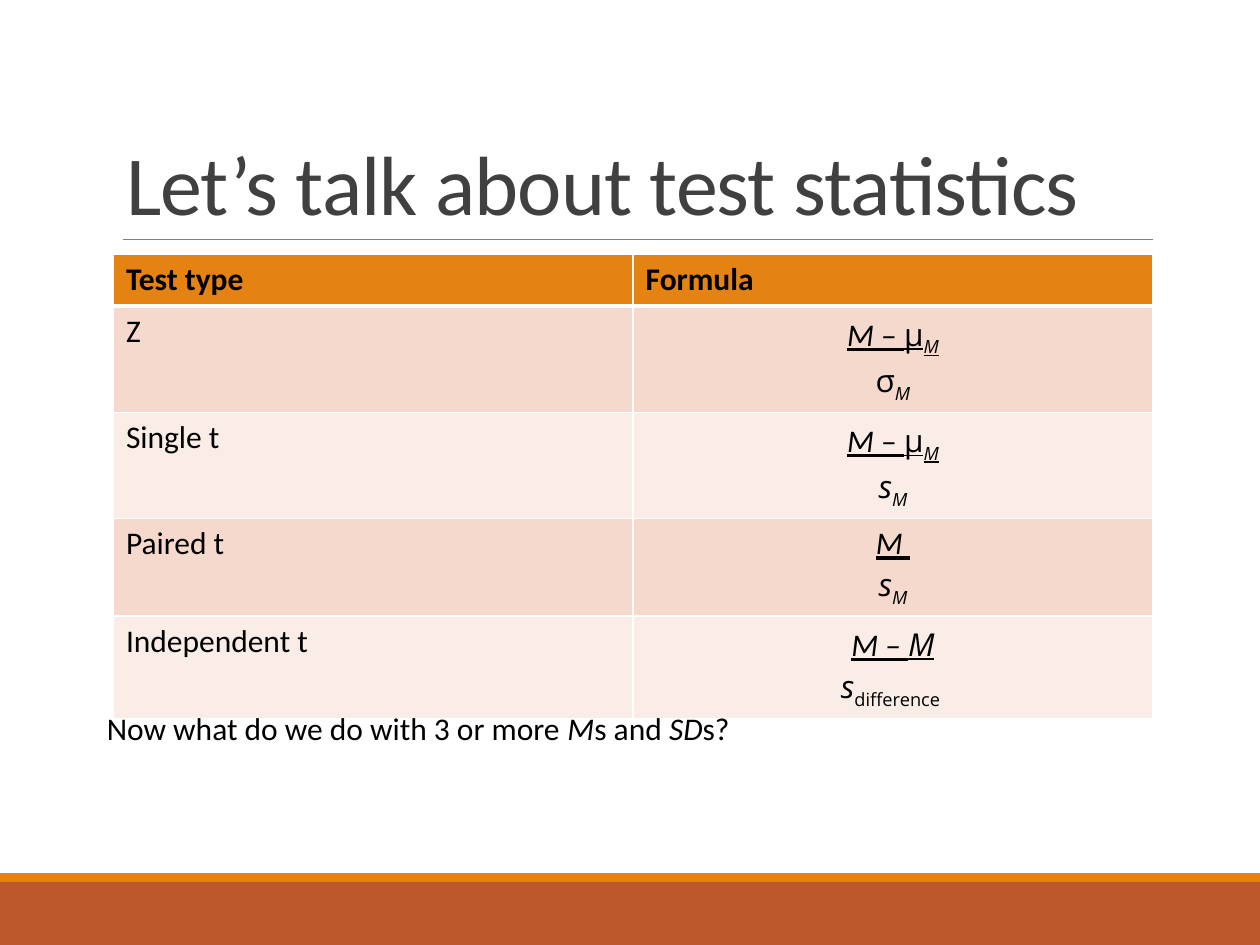
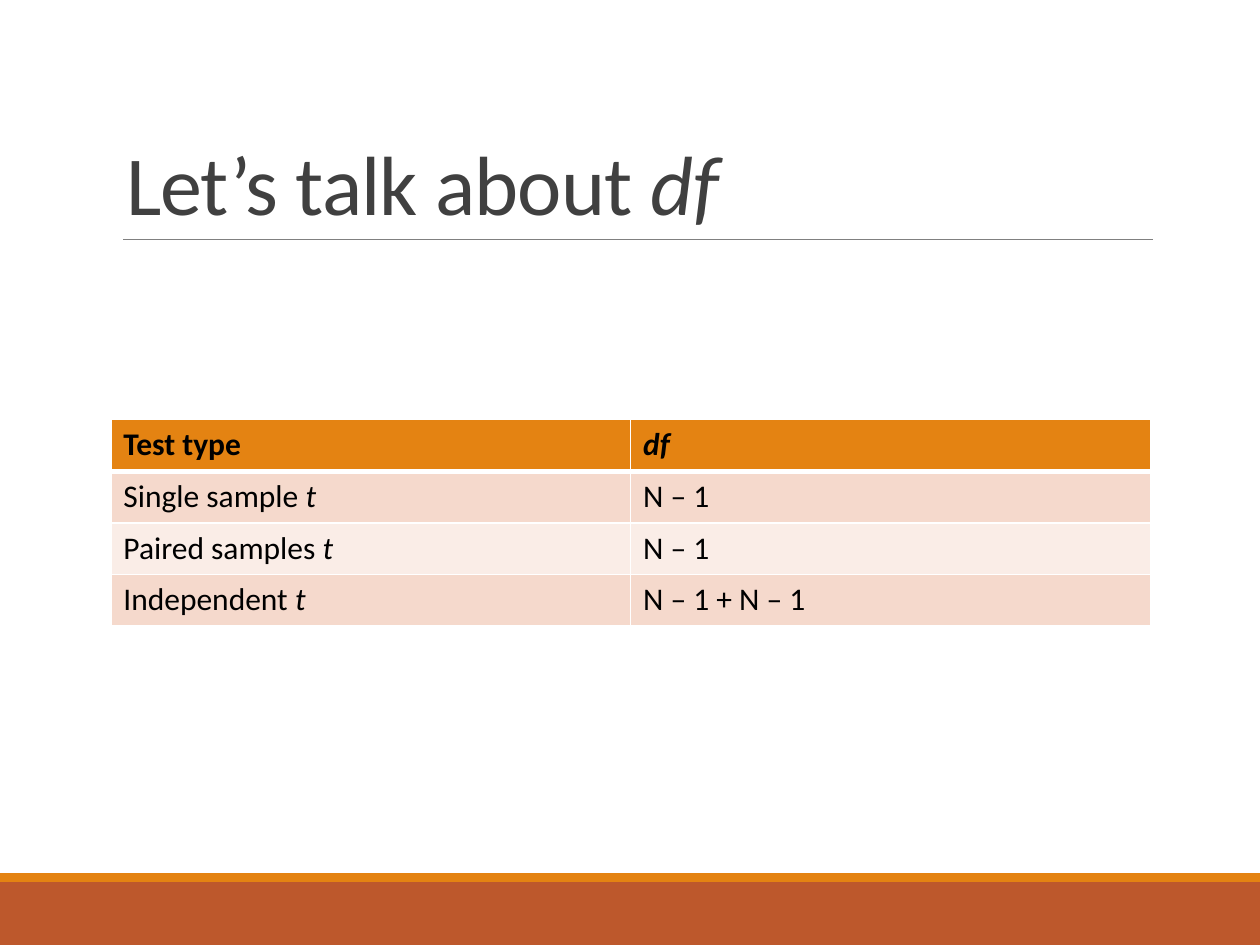
from lxml.etree import SubElement
from pptx import Presentation
from pptx.dml.color import RGBColor
from pptx.enum.shapes import MSO_CONNECTOR, MSO_SHAPE
from pptx.enum.text import MSO_ANCHOR, MSO_AUTO_SIZE, PP_ALIGN
from pptx.oxml.ns import qn
from pptx.util import Inches, Pt

# Shared look
RUST = RGBColor(0xBD, 0x58, 0x2C)
ORANGE = RGBColor(0xE4, 0x83, 0x12)
GRAY = RGBColor(0x80, 0x80, 0x80)
DARK = RGBColor(0x40, 0x40, 0x40)
BLACK = RGBColor(0, 0, 0)
WHITE = RGBColor(0xFF, 0xFF, 0xFF)
BANDS = [RGBColor(0xF5, 0xD9, 0xCC), RGBColor(0xFA, 0xED, 0xE7)]
FONT, GREEK = "Calibri", "Open Sans"

# A line of text is a list of (text, marks) runs. Marks:
# i italic, u underline, g Greek-capable font, s subscript
OVER_MU = [("M", "iu"), (" – ", "u"), ("μ", "ug"), ("M", "iugs")]
UNDER_S = [("s", "ig"), ("M", "igs")]
TESTS = [
    ("Test type", "Formula"),
    ("Z", [OVER_MU, [("σ", "g"), ("M", "igs")]]),
    ("Single t", [OVER_MU, UNDER_S]),
    ("Paired t", [[("M ", "iu")], UNDER_S]),
    ("Independent t", [[("M ", "iu"), ("–", "u"), (" ", "iu"), ("M", "iug")],
                       [("s", "ig"), ("difference ", "gs")]]),
]
DEGREES = [
    ("Test type", [[("df", "i")]]),
    ([[("Single sample ", ""), ("t", "i")]], "N – 1"),
    ([[("Paired samples ", ""), ("t", "i")]], "N – 1"),
    ([[("Independent ", ""), ("t", "i")]], "N – 1 + N – 1"),
]
CLOSING = [[("Now what do we do with 3 or more ", ""), ("M", "i"),
            ("s and ", ""), ("SD", "i"), ("s?", "")]]


def write(frame, text, size=18, color=BLACK, bold=False, align=PP_ALIGN.LEFT,
          lead=None, track=None):
    """Fill a text frame with a plain string or a list of lines of runs."""
    lines = [[(text, "")]] if isinstance(text, str) else text
    for n, line in enumerate(lines):
        para = frame.add_paragraph() if n else frame.paragraphs[0]
        para.alignment = align
        if lead:
            para.line_spacing = lead
        for words, marks in line:
            run = para.add_run()
            run.text = words
            font = run.font
            font.name = GREEK if "g" in marks else FONT
            font.size, font.bold, font.color.rgb = Pt(size), bold, color
            font.italic = "i" in marks
            font.underline = "u" in marks
            props = run._r.get_or_add_rPr()
            if "s" in marks:
                props.set("baseline", "-25000")
            if track:
                props.set("spc", str(int(track * 100)))


def add_band(slide, top, height, color):
    band = slide.shapes.add_shape(MSO_SHAPE.RECTANGLE, 0, Inches(top),
                                  Inches(10), Inches(height))
    band.shadow.inherit = False
    band.fill.solid()
    band.fill.fore_color.rgb = color
    band.line.fill.background()


def add_page(deck, title):
    """Title-only slide with the footer bands and the rule under the title."""
    slide = deck.slides.add_slide(deck.slide_layouts[5])
    add_band(slide, 7, 0.5, RUST)
    add_band(slide, 6.93, 0.07, ORANGE)

    rule = slide.shapes.add_connector(MSO_CONNECTOR.STRAIGHT, Inches(0.98),
                                      Inches(1.9), Inches(9.15), Inches(1.9))
    rule.line.color.rgb = GRAY
    rule.line.width = Pt(0.5)
    SubElement(rule._element.spPr, qn("a:effectLst"))

    head = slide.shapes.title
    head.left, head.top = Inches(0.9), Inches(0.31)
    head.width, head.height = Inches(8.25), Inches(1.59)
    frame = head.text_frame
    frame.auto_size = MSO_AUTO_SIZE.NONE
    frame.vertical_anchor = MSO_ANCHOR.BOTTOM
    write(frame, title, size=48, color=DARK, lead=0.85, track=-0.5)
    return slide


def edge_cell(cell, top, bottom):
    """White cell borders, with their own top and bottom widths."""
    props = cell._tc.get_or_add_tcPr()
    for side, width in (("L", 1), ("R", 1), ("T", top), ("B", bottom)):
        line = SubElement(props, qn(f"a:ln{side}"), w=str(Pt(width)))
        fill = SubElement(line, qn("a:solidFill"))
        SubElement(fill, qn("a:srgbClr"), val=str(WHITE))


def add_grid(slide, rows, left, top, width=8.25, step=0.41, align=PP_ALIGN.LEFT):
    """Banded two-column table; align applies to the second column's body."""
    grid = slide.shapes.add_table(len(rows), 2, Inches(left), Inches(top),
                                  Inches(width), Inches(step * len(rows))).table
    for r, row in enumerate(rows):
        grid.rows[r].height = Inches(step)
        for c, text in enumerate(row):
            cell = grid.cell(r, c)
            edge_cell(cell, 3 if r == 1 else 1, 1 if r else 3)
            cell.fill.solid()
            cell.fill.fore_color.rgb = BANDS[(r - 1) % 2] if r else ORANGE
            write(cell.text_frame, text, bold=r == 0,
                  align=align if r and c else PP_ALIGN.LEFT)


def add_note(slide, text, left, top, width, height):
    box = slide.shapes.add_textbox(Inches(left), Inches(top),
                                   Inches(width), Inches(height))
    box.text_frame.word_wrap = True
    write(box.text_frame, text)


def main():
    deck = Presentation()
    deck.slide_width, deck.slide_height = Inches(10), Inches(7.5)

    # Test statistics
    page = add_page(deck, "Let’s talk about test statistics")
    add_grid(page, TESTS, 0.9, 2.02, align=PP_ALIGN.CENTER)
    add_note(page, CLOSING, 0.75, 5.58, 5.3, 0.4)

    # Degrees of freedom
    page = add_page(deck, [[("Let’s talk about ", ""), ("df", "i")]])
    add_grid(page, DEGREES, 0.88, 3.33)

    deck.save("out.pptx")


if __name__ == "__main__":
    main()
